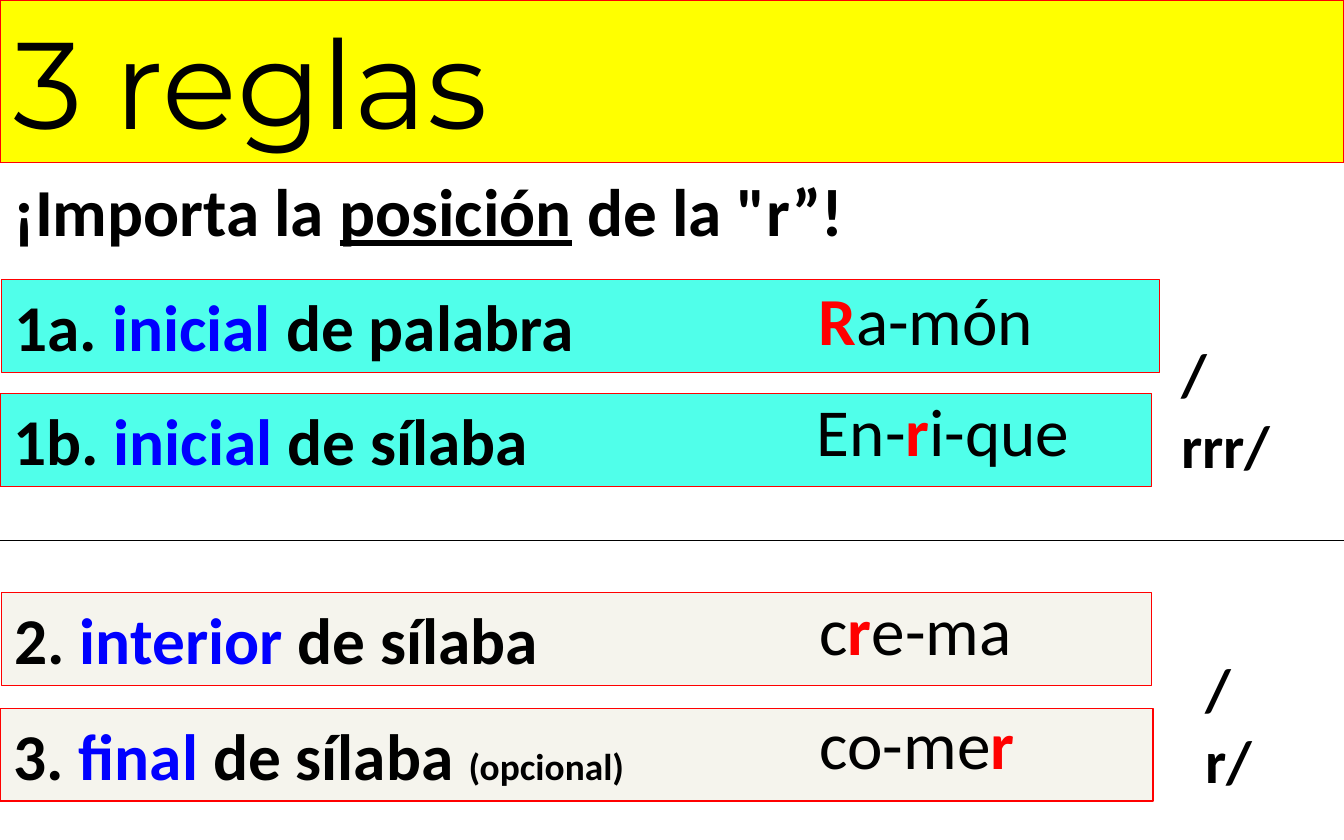
from dataclasses import dataclass
from pptx import Presentation
from pptx import util as u
from pptx.dml.color import RGBColor
from pptx.enum import shapes, text
from pptx.oxml import ns
from lxml import etree


@dataclass(frozen=True)
class Theme:
    black: str = "000000"
    blue: str = "0000FF"
    red: str = "FF0000"
    yellow: str = "FFFF00"
    aqua: str = "50FFEA"
    cream: str = "F5F4ED"
    heading: str = "Montserrat"
    body: str = "Calibri"
    title: int = 66
    example: int = 36
    rule: int = 35
    sound: int = 32
    note: int = 20
    line: float = 0.75


theme = Theme()
deck = Presentation()
deck.slide_width = u.Inches(10)
deck.slide_height = u.Inches(6.25)
page = deck.slides.add_slide(deck.slide_layouts[6])


def add_box(left, top, width, height, fill=None):
    area = [u.Inches(value) for value in (left, top, width, height)]
    if fill:
        box = page.shapes.add_shape(shapes.MSO_SHAPE.RECTANGLE, *area)
        box.shadow.inherit = False
        box.fill.solid()
        box.fill.fore_color.rgb = RGBColor.from_string(fill)
        box.line.color.rgb = RGBColor.from_string(theme.red)
        box.line.width = u.Pt(theme.line)
    else:
        box = page.shapes.add_textbox(*area)
    box.text_frame.word_wrap = True
    box.text_frame.vertical_anchor = text.MSO_ANCHOR.TOP
    para = box.text_frame.paragraphs[0]
    para.alignment = text.PP_ALIGN.LEFT
    return para


def add_span(para, words, size, color=theme.black, bold=True, font=theme.body):
    span = para.add_run()
    span.text = words
    span.font.name = font
    span.font.size = u.Pt(size)
    span.font.bold = bold
    span.font.color.rgb = RGBColor.from_string(color)
    return span


title = add_box(0, 0, 10, 1.21, theme.yellow)
add_span(title, "3 reglas", theme.title, bold=False, font=theme.heading)

intro = add_box(0, 1.21, 6.52, 0.71)
for words, underlined in [("¡Importa la ", False), ("posición", True), (' de la "r”!', False)]:
    add_span(intro, words, theme.example).font.underline = underlined

rules = [
    (0.01, 2.08, 8.62, theme.aqua, "1a. ", "inicial", " de palabra", ""),
    (0, 2.93, 8.57, theme.aqua, "1b. ", "inicial", " de sílaba", ""),
    (0.01, 4.41, 8.56, theme.cream, "2. ", "interior ", "de sílaba", ""),
    (0, 5.27, 8.58, theme.cream, "3. ", "final ", "de sílaba ", "(opcional)"),
]
for left, top, width, fill, number, position, unit, note in rules:
    rule = add_box(left, top, width, 0.69, fill)
    add_span(rule, number, theme.rule)
    add_span(rule, position, theme.rule, theme.blue)
    add_span(rule, unit, theme.rule)
    if note:
        add_span(rule, note, theme.note)

examples = [
    (5.99, 2.02, 1.85, "", "R", "a-món"),
    (5.98, 2.85, 2.11, "En-", "r", "i-que"),
    (6, 4.33, 1.67, "c", "r", "e-ma"),
    (6, 5.18, 1.71, "co-me", "r", ""),
]
for left, top, width, before, letter, after in examples:
    example = add_box(left, top, width, 0.71)
    if before:
        add_span(example, before, theme.example, bold=False)
    add_span(example, letter, theme.example, theme.red)
    if after:
        add_span(example, after, theme.example, bold=False)

for left, top, width, letters in [(8.69, 2.46, 0.97, "rrr/"), (8.87, 4.8, 0.62, "r/")]:
    sound = add_box(left, top, width, 0.64)
    add_span(sound, "/", theme.sound)
    sound.add_line_break()
    add_span(sound, letters, theme.sound)

divider = page.shapes.add_connector(
    shapes.MSO_CONNECTOR.STRAIGHT, u.Inches(0), u.Inches(4.02), u.Inches(10), u.Inches(4.02)
)
divider.line.color.rgb = RGBColor.from_string(theme.black)
divider.line.width = u.Pt(theme.line)
etree.SubElement(divider._element.spPr, ns.qn("a:effectLst"))

deck.save("out.pptx")
